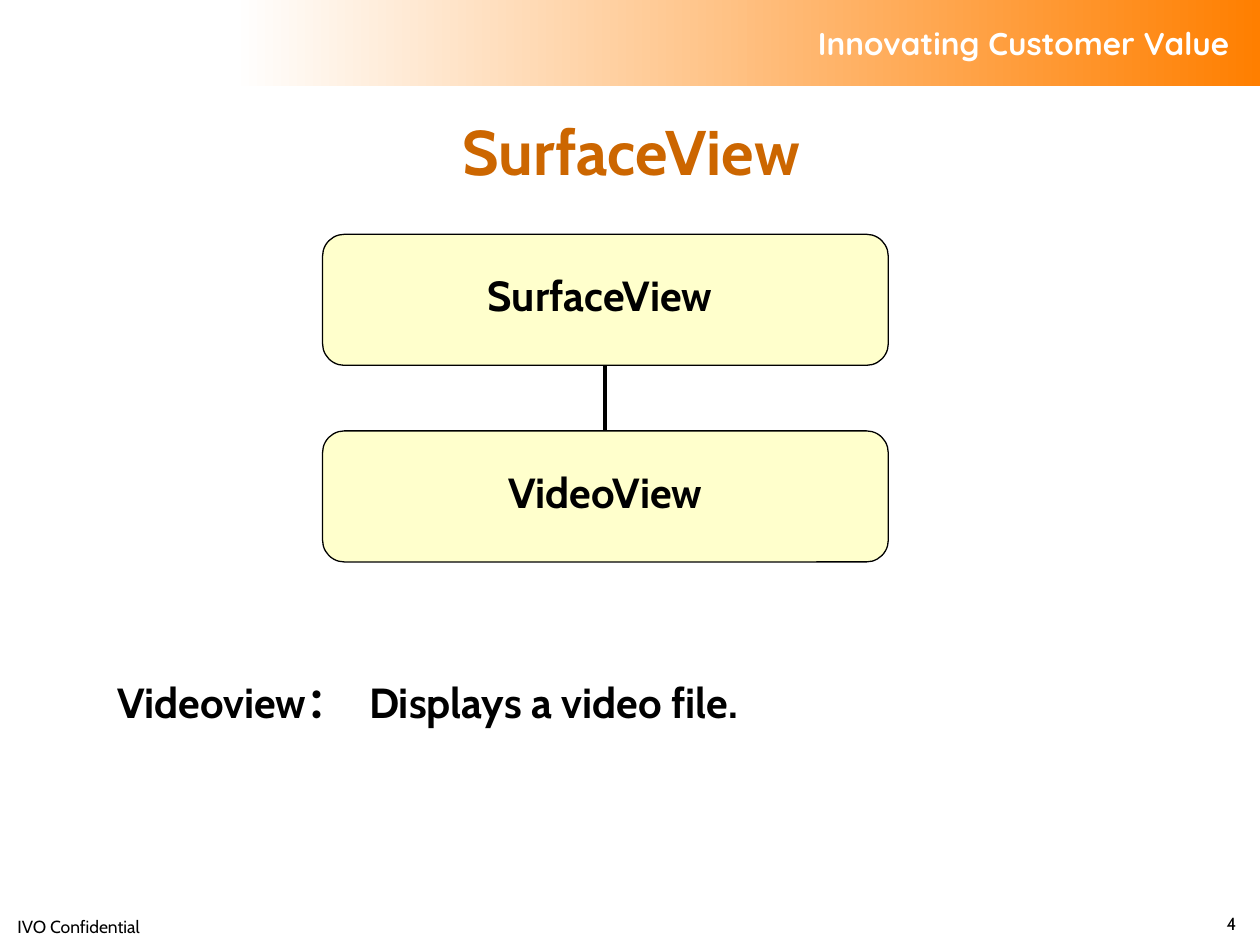
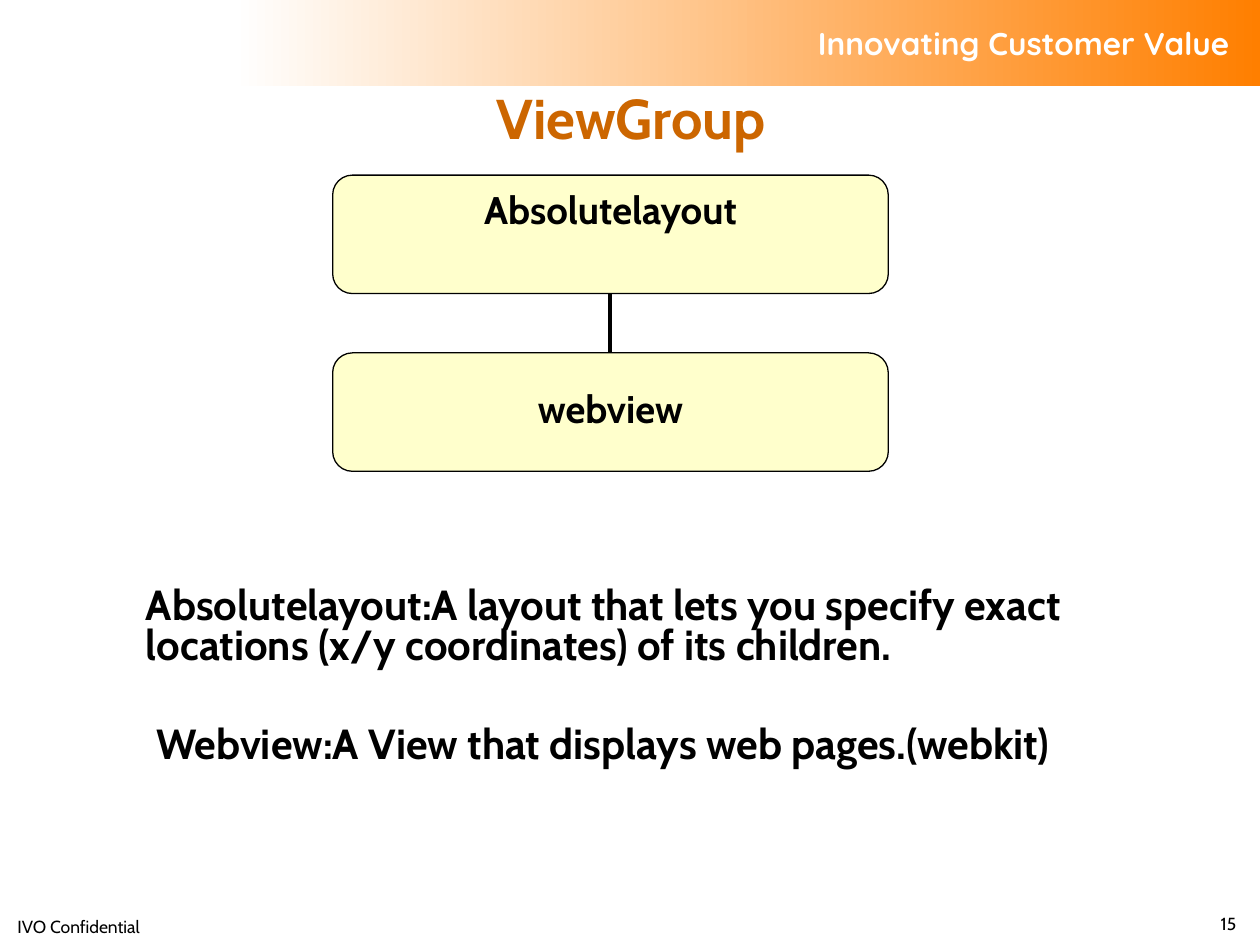
"""Build two class-hierarchy slides that share a header band, title style and footer."""
from dataclasses import dataclass

from lxml import etree
from pptx import Presentation
from pptx.dml.color import RGBColor
from pptx.enum.shapes import MSO_CONNECTOR, MSO_SHAPE
from pptx.enum.text import MSO_ANCHOR, PP_ALIGN
from pptx.oxml.ns import qn
from pptx.util import Pt

LEFT, CENTER, RIGHT = PP_ALIGN.LEFT, PP_ALIGN.CENTER, PP_ALIGN.RIGHT
TOP, MIDDLE, BOTTOM = MSO_ANCHOR.TOP, MSO_ANCHOR.MIDDLE, MSO_ANCHOR.BOTTOM
RECTANGLE, ROUNDED = MSO_SHAPE.RECTANGLE, MSO_SHAPE.ROUNDED_RECTANGLE
STRAIGHT = MSO_CONNECTOR.STRAIGHT
SITE_BOTTOM, SITE_TOP = 2, 0

SLOGAN = "Innovating Customer Value"
FOOTER = "IVO Confidential"

PAGES = [
    {
        "title": "SurfaceView", "title_size": 36, "title_top": 54.7,
        "card_area": (184.3, 133.9, 323.3, 74.9), "card_size": 24,
        "cards": [("SurfaceView", (0, 0, 6, 0)), ("VideoView", (0, 0, 0, 0))],
        "notes": [("Videoview：\tDisplays a video file.", (59.8, 388.8, 589.7, 59.8))],
        "number": "4",
    },
    {
        "title": "ViewGroup", "title_size": 32, "title_top": 35.5,
        "card_area": (190.1, 100.1, 317.5, 67.7), "card_size": 22,
        "cards": [("Absolutelayout", (0, 0, 0, 24)), ("webview", (0, 0, 0, 0))],
        "notes": [
            ("Absolutelayout:A layout that lets you specify exact locations "
             "(x/y coordinates) of its children.", (76.3, 332.6, 607, 53.3)),
            ("Webview:A View that displays web pages.(webkit)",
             (82.1, 411.8, 583.9, 53.3)),
        ],
        "number": "15",
    },
]

SLIDE_SIZE = (720, 540)
BAND_AREA = (133.2, 0, 586.8, 49)
FOOTER_AREA = (2.9, 519.8, 228.2, 17.3)
NUMBER_AREA = (569.5, 519.8, 144, 17.3)
MARGINS = (7.2, 3.6, 7.2, 3.6)
TITLE_MARGINS = (7.2, 3.6, 16.2, 3.6)
BAND_MARGINS = (7.2, 3.6, 17.5, 3.6)
NOTE_TAB = 144


@dataclass(frozen=True)
class Theme:
    band: RGBColor = RGBColor(0xFF, 0x7F, 0x00)
    white: RGBColor = RGBColor(0xFF, 0xFF, 0xFF)
    title: RGBColor = RGBColor(0xCC, 0x66, 0x00)
    card: RGBColor = RGBColor(0xFF, 0xFF, 0xCC)
    ink: RGBColor = RGBColor(0x00, 0x00, 0x00)
    body_font: str = "Cabin"
    slogan_font: str = "Quicksand"
    slogan_size: int = 18
    note_size: int = 24
    footer_size: int = 10
    tight: float = 0.8
    outline: float = 0.75
    link: float = 2.25


THEME = Theme()


def points(values):
    return [Pt(value) for value in values]


def write(box, text, size, color=THEME.ink, font=THEME.body_font, bold=True,
          align=LEFT, anchor=TOP, margins=MARGINS, spacing=None):
    frame = box.text_frame
    frame.word_wrap = True
    frame.vertical_anchor = anchor
    (frame.margin_left, frame.margin_top,
     frame.margin_right, frame.margin_bottom) = points(margins)
    para = frame.paragraphs[0]
    para.text = text
    para.alignment = align
    para.line_spacing = spacing
    if "\t" in text:
        tabs = etree.SubElement(para._p.get_or_add_pPr(), qn("a:tabLst"))
        etree.SubElement(tabs, qn("a:tab"), pos=str(Pt(NOTE_TAB)), algn="l")
    para.font.name = font
    para.font.size = Pt(size)
    para.font.bold = bold
    para.font.color.rgb = color


def add_text(page, area, text, size, **style):
    write(page.shapes.add_textbox(*points(area)), text, size, **style)


def add_band(page):
    band = page.shapes.add_shape(RECTANGLE, *points(BAND_AREA))
    band.shadow.inherit = False
    band.line.fill.background()
    band.fill.gradient()
    band.fill.gradient_angle = 180
    for stop, color in zip(band.fill.gradient_stops, (THEME.band, THEME.white)):
        stop.color.rgb = color
    write(band, SLOGAN, THEME.slogan_size, color=THEME.white, font=THEME.slogan_font,
          align=RIGHT, anchor=MIDDLE, margins=BAND_MARGINS)


def add_card(page, area, text, size, margins):
    card = page.shapes.add_shape(ROUNDED, *points(area))
    card.shadow.inherit = False
    card.fill.solid()
    card.fill.fore_color.rgb = THEME.card
    card.line.color.rgb = THEME.ink
    card.line.width = Pt(THEME.outline)
    write(card, text, size, align=CENTER, anchor=MIDDLE, margins=margins,
          spacing=THEME.tight)
    return card


def add_link(page, parent, child):
    link = page.shapes.add_connector(STRAIGHT, 0, 0, 0, 0)
    link.begin_connect(parent, SITE_BOTTOM)
    link.end_connect(child, SITE_TOP)
    link.line.color.rgb = THEME.ink
    link.line.width = Pt(THEME.link)
    etree.SubElement(link._element.spPr, qn("a:effectLst"))


def add_hierarchy(page, area, cards, size):
    left, top, width, height = area
    pitch = height * 1.5
    shapes = [add_card(page, (left, top + row * pitch, width, height), text, size, margins)
              for row, (text, margins) in enumerate(cards)]
    for parent, child in zip(shapes, shapes[1:]):
        add_link(page, parent, child)


def add_page(deck, content):
    page = deck.slides.add_slide(deck.slide_layouts[6])
    add_band(page)
    add_text(page, (46.1, content["title_top"], 638.6, 62.6), content["title"],
             content["title_size"], color=THEME.title, align=CENTER, anchor=MIDDLE,
             margins=TITLE_MARGINS)
    add_hierarchy(page, content["card_area"], content["cards"], content["card_size"])
    for text, area in content["notes"]:
        add_text(page, area, text, THEME.note_size, spacing=THEME.tight)
    add_text(page, FOOTER_AREA, FOOTER, THEME.footer_size, bold=False)
    add_text(page, NUMBER_AREA, content["number"], THEME.footer_size, bold=False,
             align=RIGHT, anchor=BOTTOM)


def main():
    deck = Presentation()
    deck.slide_width, deck.slide_height = points(SLIDE_SIZE)
    for content in PAGES:
        add_page(deck, content)
    deck.save("out.pptx")


if __name__ == "__main__":
    main()
